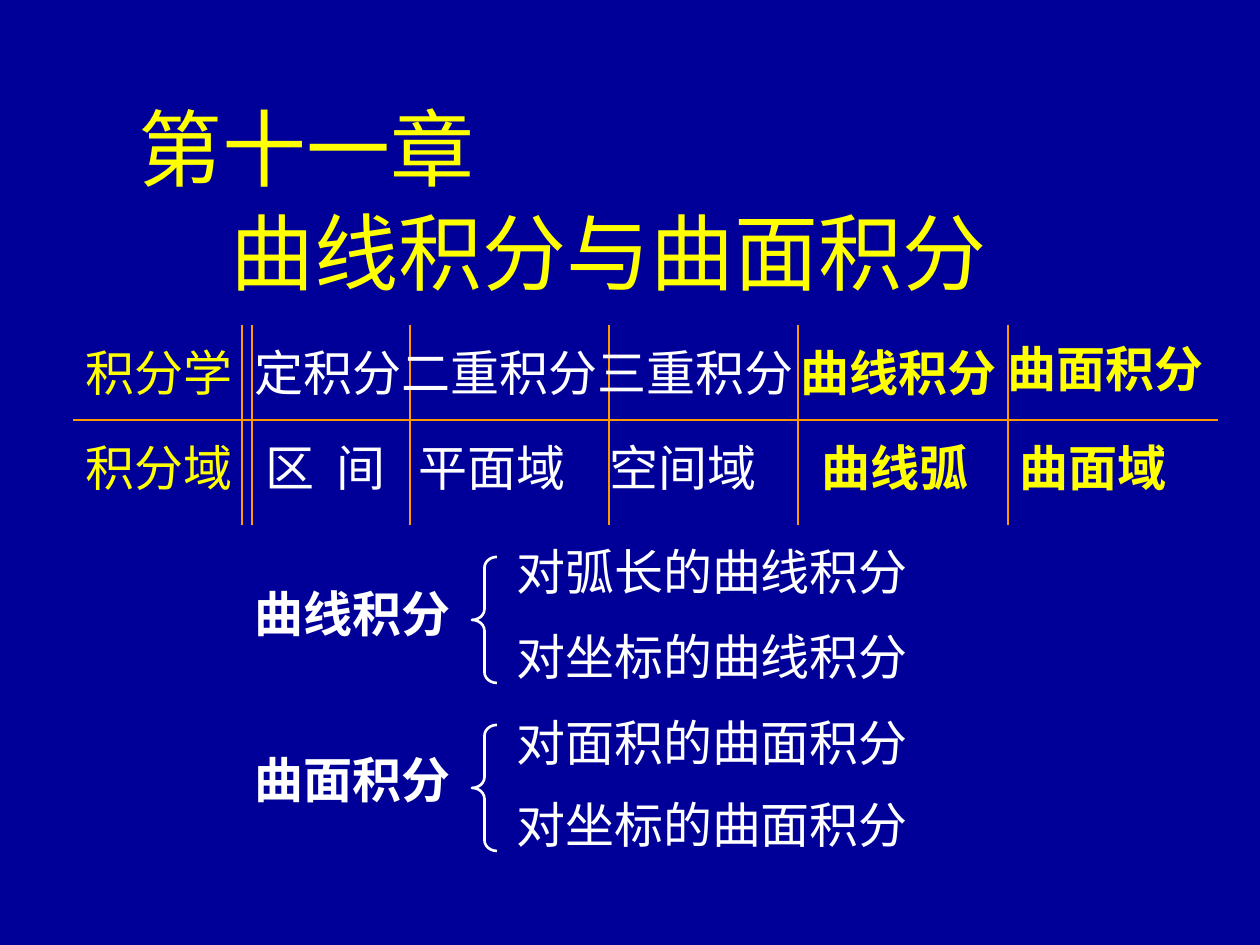
import pptx
import pptx.dml.color
import pptx.enum.dml
import pptx.enum.lang
import pptx.enum.shapes
import pptx.enum.text
import pptx.oxml.ns
import pptx.util
from lxml import etree

RGBColor = pptx.dml.color.RGBColor
NAVY = RGBColor(0x00, 0x00, 0x99)
YELLOW = RGBColor(0xFF, 0xFF, 0x00)
WHITE = RGBColor(0xFF, 0xFF, 0xFF)
ORANGE = RGBColor(0xFF, 0x99, 0x00)

BODY_FONT = "Times New Roman"
TITLE_FONT = "Noto Sans CJK SC"
EMU_PER_PX = 914400 / 126


def px(n):
    return pptx.util.Emu(round(n * EMU_PER_PX))


def add_text(slide, x, y, w, h, text, color, size=28, font=BODY_FONT,
             bold=False, spread=0):
    """Add one line of text; spread is letter spacing in 1/100 pt."""
    tf = slide.shapes.add_textbox(px(x), px(y), px(w), px(h)).text_frame
    tf.word_wrap = True
    tf.vertical_anchor = pptx.enum.text.MSO_ANCHOR.TOP
    r = tf.paragraphs[0].add_run()
    r.text = text
    r.font.name = font
    r.font.size = pptx.util.Pt(size)
    r.font.bold = bold
    r.font.color.rgb = color
    r.font.language_id = pptx.enum.lang.MSO_LANGUAGE_ID.SIMPLIFIED_CHINESE
    if spread:
        r.font._element.set("spc", str(spread))


def add_label(slide, x, y, text, color, bold=False, spread=0):
    """Add body text in a box sized to its characters."""
    add_text(slide, x, y, 49 * len(text) + 36, 72, text, color,
             bold=bold, spread=spread)


def add_rule(slide, x1, y1, x2, y2):
    line = slide.shapes.add_connector(
        pptx.enum.shapes.MSO_CONNECTOR.STRAIGHT, px(x1), px(y1), px(x2), px(y2))
    line.line.color.rgb = ORANGE
    line.line.width = pptx.util.Pt(0.75)
    etree.SubElement(line._element.spPr, pptx.oxml.ns.qn("a:effectLst"))


def add_brace(slide, x, y, w, h):
    sp = slide.shapes.add_shape(
        pptx.enum.shapes.MSO_SHAPE.LEFT_BRACE, px(x), px(y), px(w), px(h))
    sp.adjustments[0] = 0.43
    sp.adjustments[1] = 0.5
    sp.shadow.inherit = False
    sp.fill.background()
    sp.line.color.rgb = WHITE
    sp.line.width = pptx.util.Pt(1.5)


def add_branch(slide, heading, heading_y, brace_y, kinds):
    """Add a heading with a brace opening onto its kinds."""
    add_label(slide, 242, heading_y, heading, WHITE, bold=True)
    add_brace(slide, 472, brace_y, 25, 126)
    for y, kind in kinds:
        add_label(slide, 504, y, kind, WHITE)


def main():
    prs = pptx.Presentation()
    prs.slide_width, prs.slide_height = px(1260), px(945)
    slide = prs.slides.add_slide(prs.slide_layouts[6])
    slide.background.fill.solid()
    slide.background.fill.fore_color.rgb = NAVY

    # Chapter title on two lines
    add_text(slide, 126, 90, 400, 113, "第十一章", YELLOW, 48, TITLE_FONT)
    add_text(slide, 218, 194, 801, 113, "曲线积分与曲面积分", YELLOW, 48, TITLE_FONT)

    # Rules of the comparison grid
    add_rule(slide, 73, 420, 1218, 420)
    for x in (242, 252, 410, 609, 798, 1008):
        add_rule(slide, x, 325, x, 525)

    # Kinds of integral above, their domains below
    for x, y, text in ((73, 336, "积分学"), (73, 431, "积分域")):
        add_label(slide, x, y, text, YELLOW)
    for x, y, text in ((242, 336, "定积分"), (389, 336, "二重积分"),
                       (585, 336, "三重积分"), (406, 431, "平面域"),
                       (597, 431, "空间域")):
        add_label(slide, x, y, text, WHITE)
    add_label(slide, 253, 431, "区 间", WHITE, spread=315)
    for x, y, text in ((788, 336, "曲线积分"), (995, 332, "曲面积分"),
                       (809, 431, "曲线弧"), (1007, 431, "曲面域")):
        add_label(slide, x, y, text, YELLOW, bold=True)

    # The two kinds of line and surface integral
    add_branch(slide, "曲线积分", 577, 557,
               ((535, "对弧长的曲线积分"), (620, "对坐标的曲线积分")))
    add_branch(slide, "曲面积分", 743, 725,
               ((706, "对面积的曲面积分"), (788, "对坐标的曲面积分")))

    prs.save("out.pptx")


if __name__ == "__main__":
    main()
